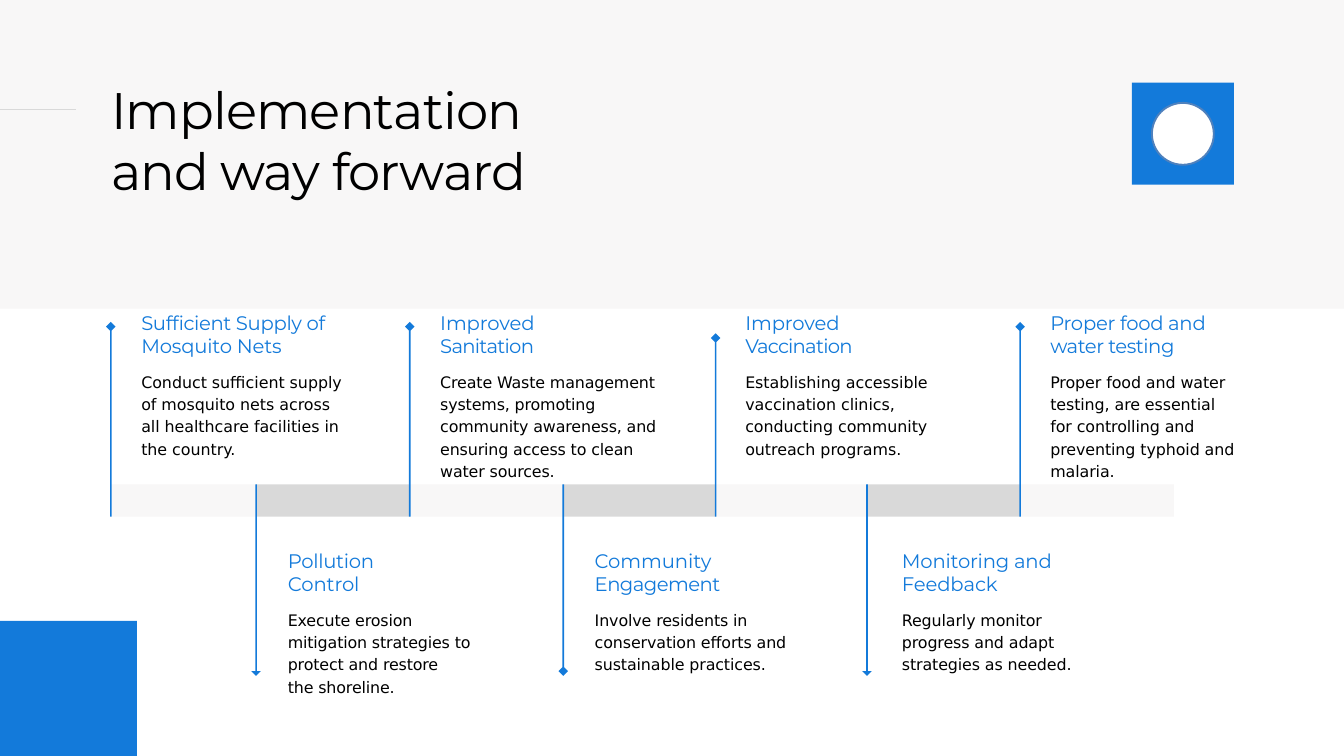
"""Build the implementation timeline slide with seven measures."""
from lxml import etree
from pptx import Presentation
from pptx.dml.color import RGBColor
from pptx.enum.shapes import MSO_CONNECTOR, MSO_SHAPE
from pptx.enum.text import MSO_ANCHOR, MSO_AUTO_SIZE, PP_ALIGN
from pptx.oxml.ns import qn
from pptx.util import Cm, Pt

RECT, OVAL = MSO_SHAPE.RECTANGLE, MSO_SHAPE.OVAL
STRAIGHT = MSO_CONNECTOR.STRAIGHT
TOP, LEFT, NO_FIT = MSO_ANCHOR.TOP, PP_ALIGN.LEFT, MSO_AUTO_SIZE.NONE
BLUE, PALE, GREY = "137ADA", "F8F7F7", "D9D9D9"
BAND_TOP, BAND_BOTTOM = 18.31, 19.53
HEAD, STEM = 0.18, 0.03
DIAMOND, TRIANGLE = 0.33, 0.18


def paint(sp, color):
    sp.shadow.inherit = False
    sp.fill.solid()
    sp.fill.fore_color.rgb = RGBColor.from_string(color)
    sp.line.fill.background()
    return sp


def add_shape(kind, x, y, w, h, color):
    return paint(s.shapes.add_shape(kind, Cm(x), Cm(y), Cm(w), Cm(h)), color)


prs = Presentation()
prs.slide_width, prs.slide_height = Cm(50.8), Cm(28.58)
s = prs.slides.add_slide(prs.slide_layouts[5])

edges = [4.19, 9.68, 15.49, 21.29, 27.05, 32.77, 38.56, 44.37]
for i, (x1, x2) in enumerate(zip(edges, edges[1:])):
    add_shape(RECT, x1, BAND_TOP, x2 - x1, BAND_BOTTOM - BAND_TOP, GREY if i % 2 else PALE)

add_shape(RECT, 0, 0, 50.8, 11.67, PALE)
add_shape(RECT, 42.78, 3.12, 3.86, 3.86, BLUE)
ring = add_shape(OVAL, 43.54, 3.89, 2.34, 2.34, "FFFFFF")
ring.line.color.rgb = RGBColor.from_string("4F81BD")
ring.line.width = Pt(2)
add_shape(RECT, 0, 23.47, 5.18, 5.11, BLUE)
ln = s.shapes.add_connector(STRAIGHT, 0, Cm(4.14), Cm(2.87), Cm(4.14))
ln.line.color.rgb = RGBColor.from_string(GREY)
ln.line.width = Pt(1.5)
etree.SubElement(ln._element.spPr, qn("a:effectLst"))

title = s.shapes.title
s.shapes._spTree.append(title._element)
title.left, title.top, title.width, title.height = Cm(4.2), Cm(2.94), Cm(16.94), Cm(4.72)
tf = title.text_frame
tf.text = "Implementation\vand way forward"
tf.margin_left = tf.margin_top = tf.margin_right = tf.margin_bottom = 0
tf.word_wrap, tf.auto_size, tf.vertical_anchor = True, NO_FIT, TOP
p = tf.paragraphs[0]
p.alignment, p.space_before = LEFT, Pt(1)
p.font.name, p.font.size = "Montserrat", Pt(55)
p.font.color.rgb = RGBColor.from_string("000000")
for r, spc in zip(p.runs, (-90, -100)):
    r._r.get_or_add_rPr().set("spc", str(spc))

items = [
    (5.34, 7.67, 5.69, 12.17, DIAMOND, "Sufficient Supply of\vMosquito Nets", (-35, -20),
     "Conduct sufficient supply of mosquito nets across all healthcare facilities in the country.",
     -6),
    (10.88, 6.93, 5.69, 25.55, TRIANGLE, "Pollution\vControl", (-30, -10),
     "Execute erosion mitigation strategies to protect and restore\vthe shoreline.", -17),
    (16.64, 8.18, 6.53, 12.17, DIAMOND, "Improved\vSanitation", (-10, -80),
     "Create Waste management systems, promoting\vcommunity awareness, and\v"
     "ensuring access to clean water sources.", -18),
    (22.48, 7.29, 4.85, 25.55, DIAMOND, "Community\vEngagement", (-10, -60),
     "Involve residents in conservation efforts and sustainable practices.", -15),
    (28.17, 7.01, 5.69, 12.6, DIAMOND, "Improved\vVaccination", (-10, -80),
     "Establishing accessible vaccination clinics, conducting community outreach programs.", -6),
    (34.09, 6.48, 4.85, 25.55, TRIANGLE, "Monitoring and\vFeedback", (-20, -10),
     "Regularly monitor progress and adapt strategies as needed.", -14),
    (39.7, 7.24, 6.53, 12.17, DIAMOND, "Proper food and\vwater testing", (-28, -50),
     "Proper food and water testing, are essential\vfor controlling and "
     "preventing typhoid and malaria.", -12),
]
for i, (x, w, h, tip, neck, heading, heading_spc, body, body_spc) in enumerate(items):
    below = i % 2
    tb = s.shapes.add_textbox(Cm(x), Cm(20.68 if below else 11.68), Cm(w), Cm(h))
    tf = tb.text_frame
    tf.word_wrap = True
    tf.margin_left = tf.margin_right = tf.margin_bottom = 0
    tf.margin_top = Cm(0.08)
    for p, text, font, size, color, spacing, before, spcs in (
        (tf.paragraphs[0], heading, "Montserrat", 21, BLUE, Pt(25), 2, heading_spc),
        (tf.add_paragraph(), body, "DejaVu Sans", 17, "000000", 1.17, 12.2, [body_spc] * 3),
    ):
        p.text = text
        p.line_spacing, p.space_before = spacing, Pt(before)
        p.font.name, p.font.size = font, Pt(size)
        p.font.color.rgb = RGBColor.from_string(color)
        for r, spc in zip(p.runs, spcs):
            r._r.get_or_add_rPr().set("spc", str(spc))

    way, end = (-1, BAND_TOP) if below else (1, BAND_BOTTOM)
    side = [(HEAD, tip + way * HEAD), (STEM, tip + way * neck), (STEM, end)]
    outline = side + [(-dx, y) for dx, y in reversed(side)]
    pin = s.shapes.build_freeform(Cm(edges[i]), Cm(tip))
    pin.add_line_segments([(Cm(edges[i] + dx), Cm(y)) for dx, y in outline])
    paint(pin.convert_to_shape(), BLUE)

prs.save("out.pptx")
